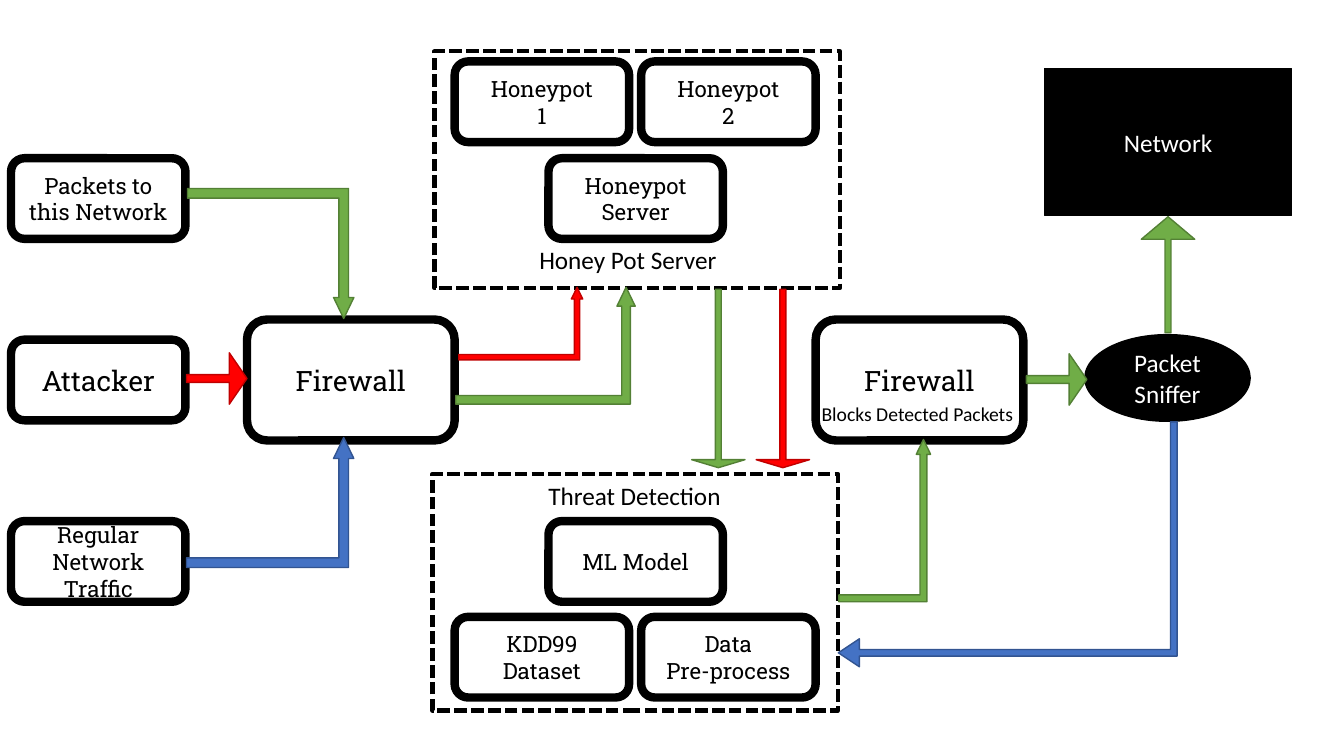
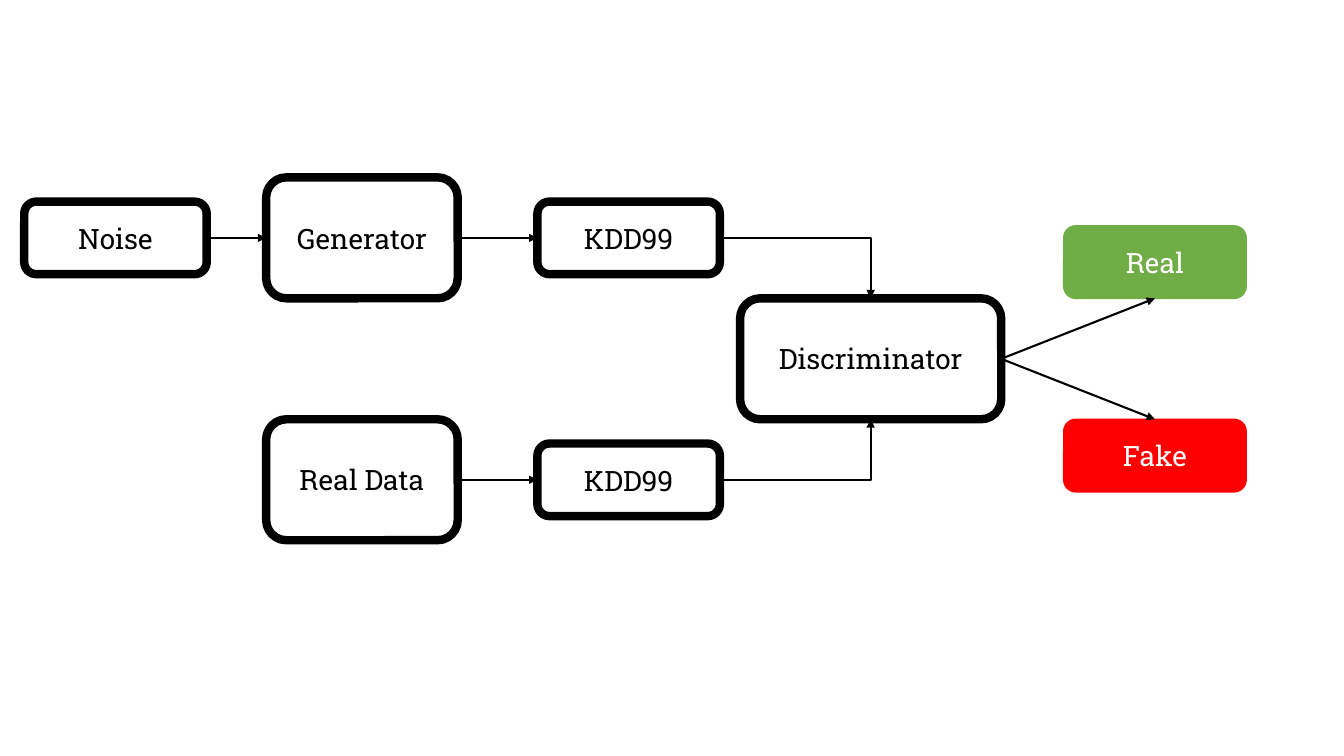
import lxml.etree
import pptx
import pptx.dml.color
import pptx.enum.dml
import pptx.enum.shapes
import pptx.enum.text
import pptx.oxml.ns
import pptx.util

Inches = pptx.util.Inches
RGBColor = pptx.dml.color.RGBColor
SHAPE = pptx.enum.shapes.MSO_SHAPE
CONNECTOR = pptx.enum.shapes.MSO_CONNECTOR
qn = pptx.oxml.ns.qn

BLACK = RGBColor(0x00, 0x00, 0x00)
WHITE = RGBColor(0xFF, 0xFF, 0xFF)
GREEN = RGBColor(0x70, 0xAD, 0x47)
DARK_GREEN = RGBColor(0x53, 0x80, 0x35)
RED = RGBColor(0xFF, 0x00, 0x00)
DARK_RED = RGBColor(0xC0, 0x00, 0x00)
BLUE = RGBColor(0x44, 0x72, 0xC4)
DARK_BLUE = RGBColor(0x32, 0x54, 0x91)
EDGES = {GREEN: DARK_GREEN, RED: DARK_RED, BLUE: DARK_BLUE}

SLAB = "Roboto Slab"
SANS = "Calibri"
TOP, LEFT, BOTTOM, RIGHT = range(4)
BEND = (0.074, 0.078, 0.162)


class Diagram:
    """Holds the presentation, the current slide and the shared style."""

    def __init__(self):
        self.deck = pptx.Presentation()
        self.deck.slide_width = Inches(13.33)
        self.deck.slide_height = Inches(7.5)
        self.slide = None

    def new_slide(self):
        self.slide = self.deck.slides.add_slide(self.deck.slide_layouts[6])

    def add_words(self, frame, text, size, font, color, align=None):
        for index, line in enumerate(text.split("\n")):
            paragraph = frame.paragraphs[0] if index == 0 else frame.add_paragraph()
            paragraph.alignment = align
            run = paragraph.add_run()
            run.text = line
            run.font.size = pptx.util.Pt(size)
            run.font.name = font
            run.font.color.rgb = color

    def shape(self, preset, box, fill, edge, weight):
        shape = self.slide.shapes.add_shape(preset, *map(Inches, box))
        shape.shadow.inherit = False
        if fill is None:
            shape.fill.background()
        else:
            shape.fill.solid()
            shape.fill.fore_color.rgb = fill
        shape.line.color.rgb = edge
        shape.line.width = pptx.util.Pt(weight)
        return shape

    def node(self, text, x, y, w, h, size=20):
        """Rounded box with a heavy black outline."""
        node = self.shape(SHAPE.ROUNDED_RECTANGLE, (x, y, w, h), None, BLACK, 6)
        self.add_words(node.text_frame, text, size, SLAB, BLACK, pptx.enum.text.PP_ALIGN.CENTER)
        return node

    def solid(self, text, preset, box, fill, size=18, font=SANS):
        """Filled shape with white text."""
        solid = self.shape(preset, box, fill, fill, 1)
        self.add_words(solid.text_frame, text, size, font, WHITE, pptx.enum.text.PP_ALIGN.CENTER)
        return solid

    def group_frame(self, x, y):
        frame = self.shape(SHAPE.RECTANGLE, (x, y, 4.02, 2.35), None, BLACK, 3)
        frame.line.dash_style = pptx.enum.dml.MSO_LINE.SQUARE_DOT

    def label(self, text, box, size=18):
        frame = self.slide.shapes.add_textbox(*map(Inches, box)).text_frame
        frame.word_wrap = False
        frame.auto_size = pptx.enum.text.MSO_AUTO_SIZE.SHAPE_TO_FIT_TEXT
        self.add_words(frame, text, size, SANS, BLACK)

    def block_arrow(self, preset, box, color, adjust, flip=None, turn=0):
        arrow = self.shape(preset, box, color, EDGES[color], 1)
        for index, value in enumerate(adjust):
            arrow.adjustments[index] = value
        arrow.rotation = turn
        if flip:
            arrow._element.spPr.find(qn("a:xfrm")).set(flip, "1")

    def link(self, start, start_side, end, end_side, kind=CONNECTOR.STRAIGHT):
        """Thin arrow joining two shapes; an elbow has a single bend."""
        link = self.slide.shapes.add_connector(kind, 0, 0, 0, 0)
        link.begin_connect(start, start_side)
        link.end_connect(end, end_side)
        link.line.color.rgb = BLACK
        link.line.width = pptx.util.Pt(1.5)
        properties = link._element.spPr
        if kind == CONNECTOR.ELBOW:
            properties.find(qn("a:prstGeom")).set("prst", "bentConnector2")
        tail = lxml.etree.SubElement(properties.find(qn("a:ln")), qn("a:tailEnd"))
        tail.set("type", "triangle")
        lxml.etree.SubElement(properties, qn("a:effectLst"))


def network_slide(diagram):
    diagram.new_slide()

    # Traffic sources, firewalls and the parts of both groups
    sources = (("Packets to this Network", 16), ("Attacker", 20),
               ("Regular Network Traffic", 16))
    for row, (source, size) in enumerate(sources):
        diagram.node(source, 0.11, 1.57 + 1.8 * row, 1.73, 0.8, size)
    for x in (2.45, 8.09):
        diagram.node("Firewall", x, 3.17, 2.06, 1.2)
    for part, x, y in (
        ("Honeypot\n1", 4.51, 0.61),
        ("Honeypot\n2", 6.36, 0.61),
        ("Honeypot Server", 5.44, 1.57),
        ("ML Model", 5.44, 5.17),
        ("KDD99\nDataset", 4.51, 6.12),
        ("Data\nPre-process", 6.36, 6.12),
    ):
        diagram.node(part, x, y, 1.73, 0.8, 16)

    # Protected side
    diagram.solid("Packet Sniffer", SHAPE.OVAL, (10.76, 3.32, 1.64, 0.86), BLACK)
    diagram.solid("Network", SHAPE.RECTANGLE, (10.36, 0.68, 2.45, 1.46), BLACK)

    # Group frames and labels
    diagram.group_frame(4.31, 0.51)
    diagram.group_frame(4.29, 4.7)
    diagram.label("Honey Pot Server", (5.25, 2.37, 1.98, 0.4))
    diagram.label("Threat Detection", (5.34, 4.72, 1.93, 0.4))
    diagram.label("Blocks Detected Packets", (8.05, 3.94, 2.12, 0.34), 14)

    # Bent arrows
    for box, color, flip in (
        ((1.86, 1.87, 1.65, 1.29), GREEN, "flipV"),
        ((1.85, 4.34, 1.66, 1.29), BLUE, None),
        ((4.55, 2.85, 1.23, 0.72), RED, None),
        ((4.52, 2.85, 1.78, 1.16), GREEN, None),
        ((8.32, 4.36, 0.91, 1.61), GREEN, None),
    ):
        diagram.block_arrow(SHAPE.BENT_UP_ARROW, box, color, BEND, flip)
    diagram.block_arrow(SHAPE.BENT_UP_ARROW, (8.78, 3.72, 2.43, 3.36), BLUE,
                        (0.027, 0.057, 0.086), "flipH", 270)

    # Straight arrows
    for x, y, color in ((1.85, 3.5, RED), (10.18, 3.51, GREEN)):
        diagram.block_arrow(SHAPE.RIGHT_ARROW, (x, y, 0.6, 0.51), color, (0.15, 0.344))
    for x, color in ((7.5, RED), (6.86, GREEN)):
        diagram.block_arrow(SHAPE.DOWN_ARROW, (x, 2.87, 0.53, 1.77), color, (0.111, 0.15))
    diagram.block_arrow(SHAPE.UP_ARROW, (11.32, 2.15, 0.53, 1.15), GREEN, (0.111, 0.422))


def gan_slide(diagram):
    diagram.new_slide()
    discriminator = diagram.node("Discriminator", 7.34, 2.96, 2.59, 1.2)
    noise = diagram.node("Noise", 0.24, 2, 1.81, 0.72)

    # Generated data above, real data below
    origins = []
    for row, (origin_name, side) in enumerate((("Generator", TOP), ("Real Data", BOTTOM))):
        offset = 2.4 * row
        origin = diagram.node(origin_name, 2.64, 1.76 + offset, 1.9, 1.2)
        dataset = diagram.node("KDD99", 5.33, 2 + offset, 1.81, 0.72)
        diagram.link(origin, RIGHT, dataset, LEFT)
        diagram.link(dataset, RIGHT, discriminator, side, CONNECTOR.ELBOW)
        origins.append(origin)
    diagram.link(noise, RIGHT, origins[0], LEFT)

    # Verdicts
    for verdict_name, y, color, side in (("Real", 2.24, GREEN, BOTTOM),
                                         ("Fake", 4.16, RED, TOP)):
        verdict = diagram.solid(verdict_name, SHAPE.ROUNDED_RECTANGLE,
                                (10.55, y, 1.81, 0.72), color, 20, SLAB)
        diagram.link(discriminator, RIGHT, verdict, side)


def main():
    diagram = Diagram()
    network_slide(diagram)
    gan_slide(diagram)
    diagram.deck.save("out.pptx")


if __name__ == "__main__":
    main()
